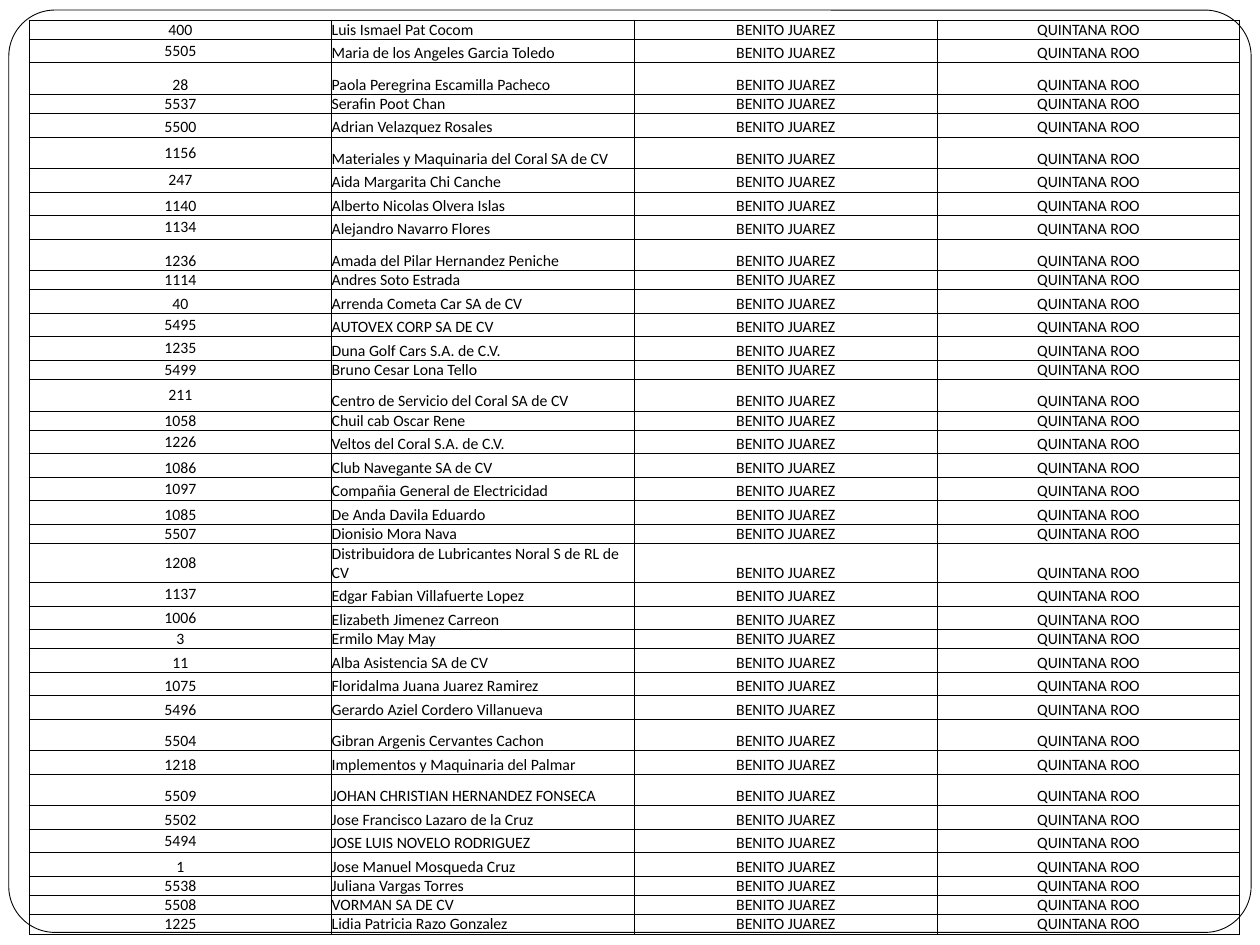
from lxml import etree
from pptx import Presentation
from pptx import util as u
from pptx.dml.color import RGBColor
from pptx.enum import shapes, text
from pptx.oxml.ns import qn

THEME = {
    "font": "Calibri",
    "size": u.Pt(9),
    "ink": RGBColor(0, 0, 0),
    "paper": RGBColor(255, 255, 255),
    "line": u.Pt(0.5),
}
CITY, STATE = "BENITO JUAREZ", "QUINTANA ROO"
MIDDLE, BOTTOM = text.MSO_ANCHOR.MIDDLE, text.MSO_ANCHOR.BOTTOM
CENTER, LEFT = text.PP_ALIGN.CENTER, text.PP_ALIGN.LEFT

RECORDS = [
    ("400", "Luis Ismael Pat Cocom", "short", MIDDLE),
    ("5505", "Maria de los Angeles Garcia Toledo", "medium", MIDDLE),
    ("28", "Paola Peregrina Escamilla Pacheco", "tall", BOTTOM),
    ("5537", "Serafin Poot Chan", "short", BOTTOM),
    ("5500", "Adrian Velazquez Rosales", "medium", BOTTOM),
    ("1156", "Materiales y Maquinaria del Coral SA de CV", "tall", MIDDLE),
    ("247", "Aida Margarita Chi Canche", "medium", MIDDLE),
    ("1140", "Alberto Nicolas Olvera Islas", "medium", BOTTOM),
    ("1134", "Alejandro Navarro Flores", "medium", MIDDLE),
    ("1236", "Amada del Pilar Hernandez Peniche", "tall", BOTTOM),
    ("1114", "Andres Soto Estrada", "short", MIDDLE),
    ("40", "Arrenda Cometa Car SA de CV", "medium", BOTTOM),
    ("5495", "AUTOVEX CORP SA DE CV", "medium", MIDDLE),
    ("1235", "Duna Golf Cars S.A. de C.V.", "medium", MIDDLE),
    ("5499", "Bruno Cesar Lona Tello", "short", MIDDLE),
    ("211", "Centro de Servicio del Coral SA de CV", "tall", MIDDLE),
    ("1058", "Chuil cab Oscar Rene", "short", MIDDLE),
    ("1226", "Veltos del Coral S.A. de C.V.", "medium", MIDDLE),
    ("1086", "Club Navegante SA de CV", "medium", BOTTOM),
    ("1097", "Compañia General de Electricidad", "medium", MIDDLE),
    ("1085", "De Anda Davila Eduardo", "medium", BOTTOM),
    ("5507", "Dionisio Mora Nava", "short", BOTTOM),
    ("1208", "Distribuidora de Lubricantes Noral S de RL de CV", "double", MIDDLE),
    ("1137", "Edgar Fabian Villafuerte Lopez", "medium", MIDDLE),
    ("1006", "Elizabeth Jimenez Carreon", "medium", MIDDLE),
    ("3", "Ermilo May May", "short", MIDDLE),
    ("11", "Alba Asistencia SA de CV", "medium", BOTTOM),
    ("1075", "Floridalma Juana Juarez Ramirez", "medium", BOTTOM),
    ("5496", "Gerardo Aziel Cordero Villanueva", "medium", BOTTOM),
    ("5504", "Gibran Argenis Cervantes Cachon", "tall", BOTTOM),
    ("1218", "Implementos y Maquinaria del Palmar", "medium", BOTTOM),
    ("5509", "JOHAN CHRISTIAN HERNANDEZ FONSECA", "tall", BOTTOM),
    ("5502", "Jose Francisco Lazaro de la Cruz", "medium", BOTTOM),
    ("5494", "JOSE LUIS NOVELO RODRIGUEZ", "medium", MIDDLE),
    ("1", "Jose Manuel Mosqueda Cruz", "medium", BOTTOM),
    ("5538", "Juliana Vargas Torres", "short", MIDDLE),
    ("5508", "VORMAN SA DE CV", "short", BOTTOM),
    ("1225", "Lidia Patricia Razo Gonzalez", "short", BOTTOM),
]

TABLE_LEFT, TABLE_TOP, TABLE_WIDTH, TABLE_HEIGHT = 0.23, 0.16, 9.61, 7.23
HEIGHTS = {"short": 0.15, "tall": 0.25, "double": 0.31}
COLUMNS = 4


def row_heights():
    kinds = [kind for _, _, kind, _ in RECORDS]
    fixed = sum(HEIGHTS.get(kind, 0) for kind in kinds)
    medium = (TABLE_HEIGHT - fixed) / kinds.count("medium")
    return [HEIGHTS.get(kind, medium) for kind in kinds]


def add_borders(cell):
    props = cell._tc.get_or_add_tcPr()
    for i, side in enumerate(("lnL", "lnR", "lnT", "lnB")):
        ln = etree.Element(qn(f"a:{side}"), w=str(int(THEME["line"])))
        fill = etree.SubElement(ln, qn("a:solidFill"))
        etree.SubElement(fill, qn("a:srgbClr"), val=str(THEME["ink"]))
        props.insert(i, ln)


def fill_cell(cell, value, anchor, align):
    cell.fill.background()
    cell.margin_left = cell.margin_right = cell.margin_top = cell.margin_bottom = 0
    cell.vertical_anchor = anchor
    p = cell.text_frame.paragraphs[0]
    p.alignment = align
    r = p.add_run()
    r.text = value
    r.font.name, r.font.size = THEME["font"], THEME["size"]
    r.font.bold = False
    r.font.color.rgb = THEME["ink"]
    add_borders(cell)


def add_frame(s):
    sp = s.shapes.add_shape(
        shapes.MSO_SHAPE.ROUNDED_RECTANGLE,
        u.Inches(0.07), u.Inches(0.08), u.Inches(9.86), u.Inches(7.32),
    )
    sp.adjustments[0] = 0.05
    sp.shadow.inherit = False
    sp.fill.solid()
    sp.fill.fore_color.rgb = THEME["paper"]
    sp.line.color.rgb = THEME["ink"]
    sp.line.width = THEME["line"]


def add_register(s):
    box = [u.Inches(n) for n in (TABLE_LEFT, TABLE_TOP, TABLE_WIDTH, TABLE_HEIGHT)]
    table = s.shapes.add_table(len(RECORDS), COLUMNS, *box).table
    table.first_row = table.horz_banding = False
    for column in table.columns:
        column.width = u.Inches(TABLE_WIDTH / COLUMNS)
    for row, height, record in zip(table.rows, row_heights(), RECORDS):
        code, name, _, code_anchor = record
        row.height = u.Inches(height)
        values = (code, name, CITY, STATE)
        anchors = (code_anchor, BOTTOM, BOTTOM, BOTTOM)
        aligns = (CENTER, LEFT, CENTER, CENTER)
        for cell, value, anchor, align in zip(row.cells, values, anchors, aligns):
            fill_cell(cell, value, anchor, align)


def main():
    prs = Presentation()
    prs.slide_width, prs.slide_height = u.Inches(10), u.Inches(7.5)
    s = prs.slides.add_slide(prs.slide_layouts[6])
    add_frame(s)
    add_register(s)
    prs.save("out.pptx")


if __name__ == "__main__":
    main()
